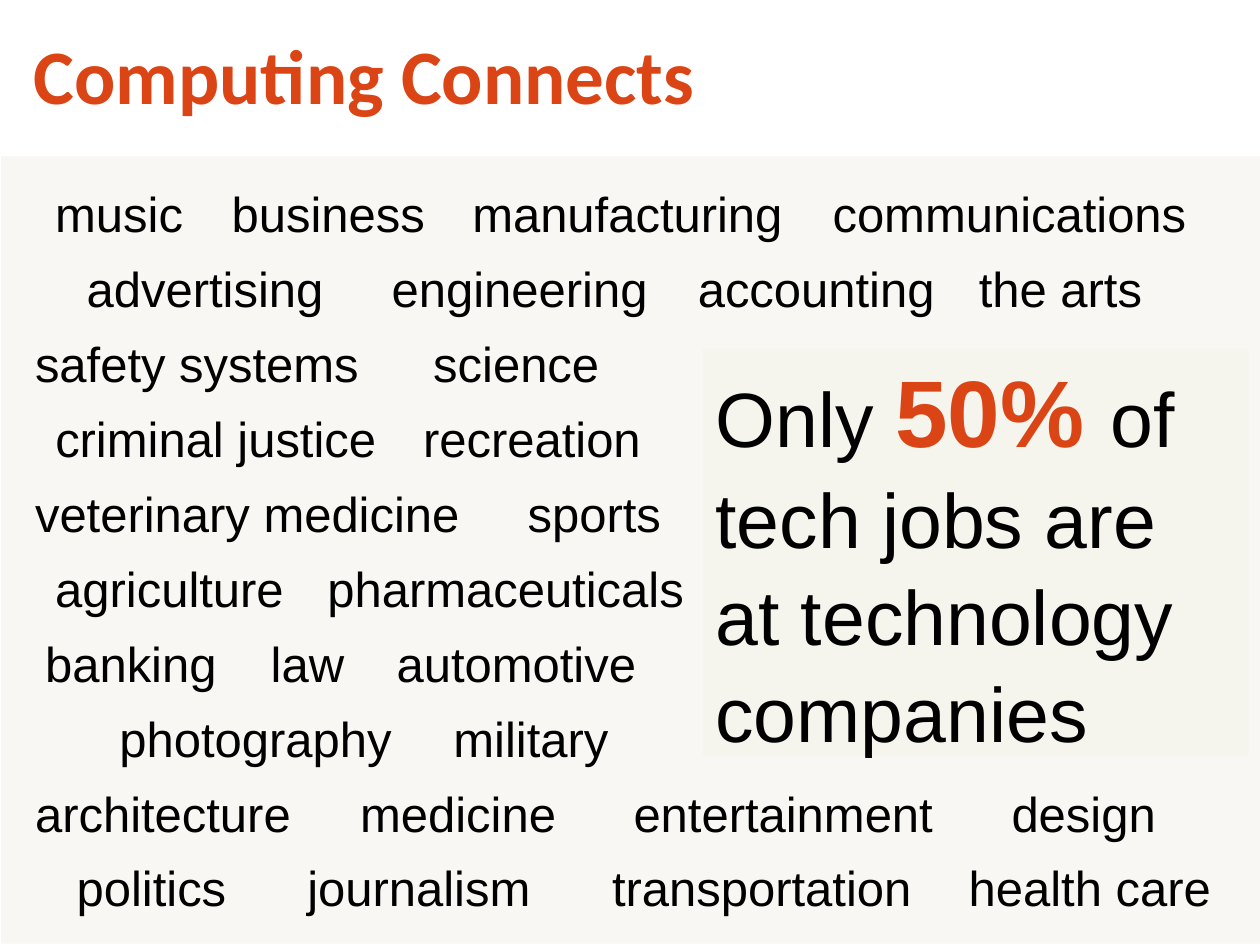
from pptx import Presentation
from pptx.dml.color import RGBColor
from pptx.enum import shapes, text
from pptx.util import Inches, Pt

ORANGE = RGBColor(0xDB, 0x45, 0x15)
BLACK = RGBColor(0, 0, 0)
BACKDROP = RGBColor(0xF8, 0xF7, 0xF3)
CALLOUT = RGBColor(0xF5, 0xF4, 0xED)

# Content: each row holds (field, left, width) in inches
TITLE = "Computing Connects"
FIELD_ROWS = [
    [("music", 0.34, 1.23), ("business", 1.74, 1.75),
     ("manufacturing", 3.65, 2.69), ("communications", 6.51, 3.04)],
    [("advertising", 0.59, 2.1), ("engineering", 3.01, 2.25),
     ("accounting", 5.44, 2.1), ("the arts", 7.67, 1.51)],
    [("safety systems", 0.18, 2.8), ("science", 3.34, 1.53)],
    [("criminal justice", 0.34, 2.78), ("recreation", 3.26, 1.95)],
    [("veterinary medicine", 0.18, 3.62), ("sports", 4.09, 1.27)],
    [("agriculture", 0.34, 2.04), ("pharmaceuticals", 2.5, 3.06)],
    [("banking", 0.26, 1.58), ("law", 2.05, 0.79), ("automotive", 3.05, 2.12)],
    [("photography", 0.85, 2.83), ("military", 3.5, 1.51)],
    [("architecture", 0.18, 2.25), ("medicine", 2.76, 1.92),
     ("entertainment", 4.93, 2.6), ("design", 7.93, 1.36)],
    [("politics", 0.51, 1.4), ("journalism", 2.34, 2.02),
     ("transportation", 4.76, 2.6), ("health care", 7.59, 2.14)],
]
MESSAGE = [  # text, size, colour, bold
    ("Only ", 44, BLACK, False),
    ("50% ", 54, ORANGE, True),
    ("of tech jobs are at technology companies", 44, BLACK, False),
]

# Word grid
FIRST_ROW, LAST_ROW, ROW_HEIGHT = 1.41, 6.76, 0.57
ROW_PITCH = (LAST_ROW - FIRST_ROW) / (len(FIELD_ROWS) - 1)

prs = Presentation()
prs.slide_width, prs.slide_height = Inches(10), Inches(7.5)
s = prs.slides.add_slide(prs.slide_layouts[6])


def add_panel(box, colour):
    sp = s.shapes.add_shape(shapes.MSO_SHAPE.RECTANGLE, *map(Inches, box))
    sp.shadow.inherit = False
    sp.fill.solid()
    sp.fill.fore_color.rgb = colour
    sp.line.fill.background()
    return sp


def add_label(words, box, size, font, colour, bold=False, wrap=False):
    tf = s.shapes.add_textbox(*map(Inches, box)).text_frame
    tf.word_wrap = wrap
    tf.auto_size = text.MSO_AUTO_SIZE.SHAPE_TO_FIT_TEXT
    p = tf.paragraphs[0]
    p.text = words
    p.font.size, p.font.name, p.font.bold = Pt(size), font, bold
    p.font.color.rgb = colour


# Backdrop and career fields
add_panel((0.01, 1.24, 10, 6.25), BACKDROP)
for i, row in enumerate(FIELD_ROWS):
    top = FIRST_ROW + i * ROW_PITCH
    for field, left, width in row:
        add_label(field, (left, top, width, ROW_HEIGHT), 28, "Arial", BLACK)

# Title
add_label(TITLE, (0.17, 0.17, 9.83, 0.84), 44, "Calibri", ORANGE, bold=True, wrap=True)

# Callout
tf = add_panel((5.58, 2.77, 4.33, 3.23), CALLOUT).text_frame
tf.word_wrap = True
tf.vertical_anchor = text.MSO_ANCHOR.MIDDLE
p = tf.paragraphs[0]
p.alignment = text.PP_ALIGN.LEFT
p.line_spacing = 1.05
p.font.name = "Arial"
for words, size, colour, bold in MESSAGE:
    r = p.add_run()
    r.text = words
    r.font.size, r.font.bold = Pt(size), bold
    r.font.color.rgb = colour

prs.save("out.pptx")
